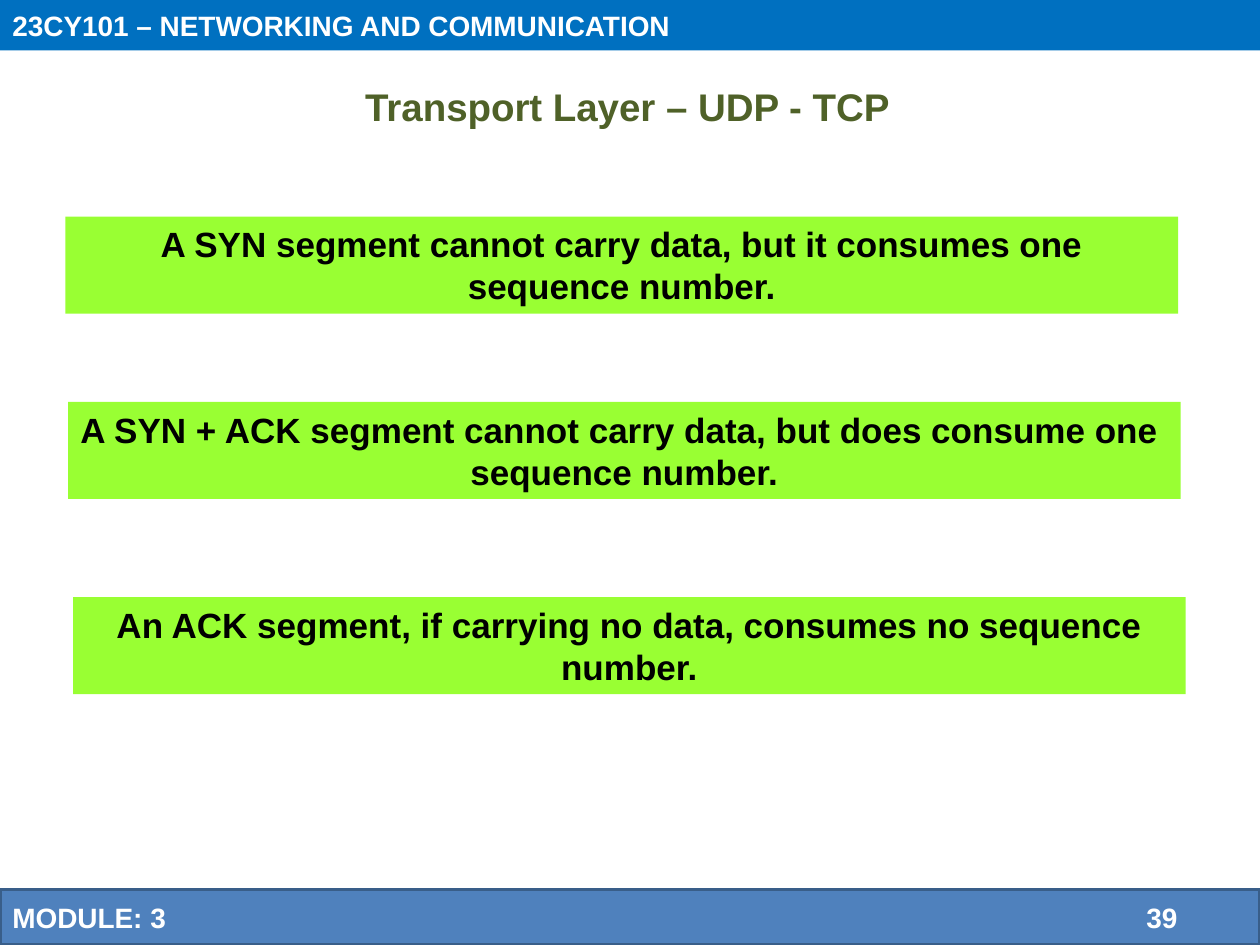
from lxml import etree
from pptx import Presentation
from pptx.dml.color import RGBColor
from pptx.enum.shapes import MSO_SHAPE
from pptx.enum.text import MSO_ANCHOR, MSO_AUTO_SIZE, PP_ALIGN
from pptx.oxml.ns import qn
from pptx.util import Inches, Pt

RECTANGLE = MSO_SHAPE.RECTANGLE
LEFT, CENTER = PP_ALIGN.LEFT, PP_ALIGN.CENTER
TOP, MIDDLE = MSO_ANCHOR.TOP, MSO_ANCHOR.MIDDLE
NO_AUTOFIT = MSO_AUTO_SIZE.NONE

COURSE = "23CY101 – NETWORKING AND COMMUNICATION"
TOPIC = "Transport Layer – UDP - TCP"
MODULE, PAGE = "MODULE: 3", "39"
RULES = [
    (0.52, 1.72, "A SYN segment cannot carry data, but it consumes one sequence number."),
    (0.54, 3.19, "A SYN + ACK segment cannot carry data, but does consume one \vsequence number."),
    (0.58, 4.74, "An ACK segment, if carrying no data, consumes no sequence number."),
]
COLORS = {
    "header": "0070C0",
    "footer": "4F81BD",
    "footer_line": "395E89",
    "rule": "99FF33",
    "topic": "4F6128",
    "dark": "000000",
    "light": "FFFFFF",
}
WIDTH, HEIGHT = 10, 7.5
HEADER_HEIGHT, FOOTER_HEIGHT = 0.4, 0.44
RULE_WIDTH, RULE_HEIGHT = 8.83, 0.77
PAGE_TAB = 9


def color(name):
    return RGBColor.from_string(COLORS[name])


def write(shape, text, size, ink, align=LEFT, anchor=MIDDLE):
    frame = shape.text_frame
    frame.word_wrap = True
    frame.auto_size = NO_AUTOFIT
    frame.vertical_anchor = anchor
    frame.text = text
    paragraph = frame.paragraphs[0]
    paragraph.alignment = align
    for run in paragraph.runs:
        run.font.name = "Arial"
        run.font.size = Pt(size)
        run.font.bold = True
        run.font.color.rgb = color(ink)
    return paragraph


def add_box(slide, left, top, width, height, fill, line=None):
    box = slide.shapes.add_shape(RECTANGLE, *map(Inches, (left, top, width, height)))
    box.shadow.inherit = False
    box.fill.solid()
    box.fill.fore_color.rgb = color(fill)
    if line:
        box.line.color.rgb = color(line)
        box.line.width = Pt(2)
    else:
        box.line.fill.background()
    return box


def main():
    deck = Presentation()
    deck.slide_width, deck.slide_height = Inches(WIDTH), Inches(HEIGHT)
    slide = deck.slides.add_slide(deck.slide_layouts[5])

    topic = slide.shapes.title
    topic.left, topic.top, topic.width, topic.height = map(Inches, (0.04, 0.61, 9.88, 0.84))
    write(topic, TOPIC, size=22, ink="topic", align=CENTER, anchor=TOP)

    for left, top, text in RULES:
        rule = add_box(slide, left, top, RULE_WIDTH, RULE_HEIGHT, "rule")
        write(rule, text, size=20, ink="dark", align=CENTER, anchor=TOP)

    header = add_box(slide, 0, 0, WIDTH, HEADER_HEIGHT, "header")
    write(header, COURSE, size=16, ink="light")

    footer = add_box(slide, 0, HEIGHT - FOOTER_HEIGHT, WIDTH, FOOTER_HEIGHT,
                     "footer", line="footer_line")
    module = write(footer, f"{MODULE}\t{PAGE}", size=16, ink="light")
    tabs = etree.SubElement(module._p.get_or_add_pPr(), qn("a:tabLst"))
    etree.SubElement(tabs, qn("a:tab"), pos=str(Inches(PAGE_TAB)), algn="l")

    deck.save("out.pptx")


if __name__ == "__main__":
    main()
